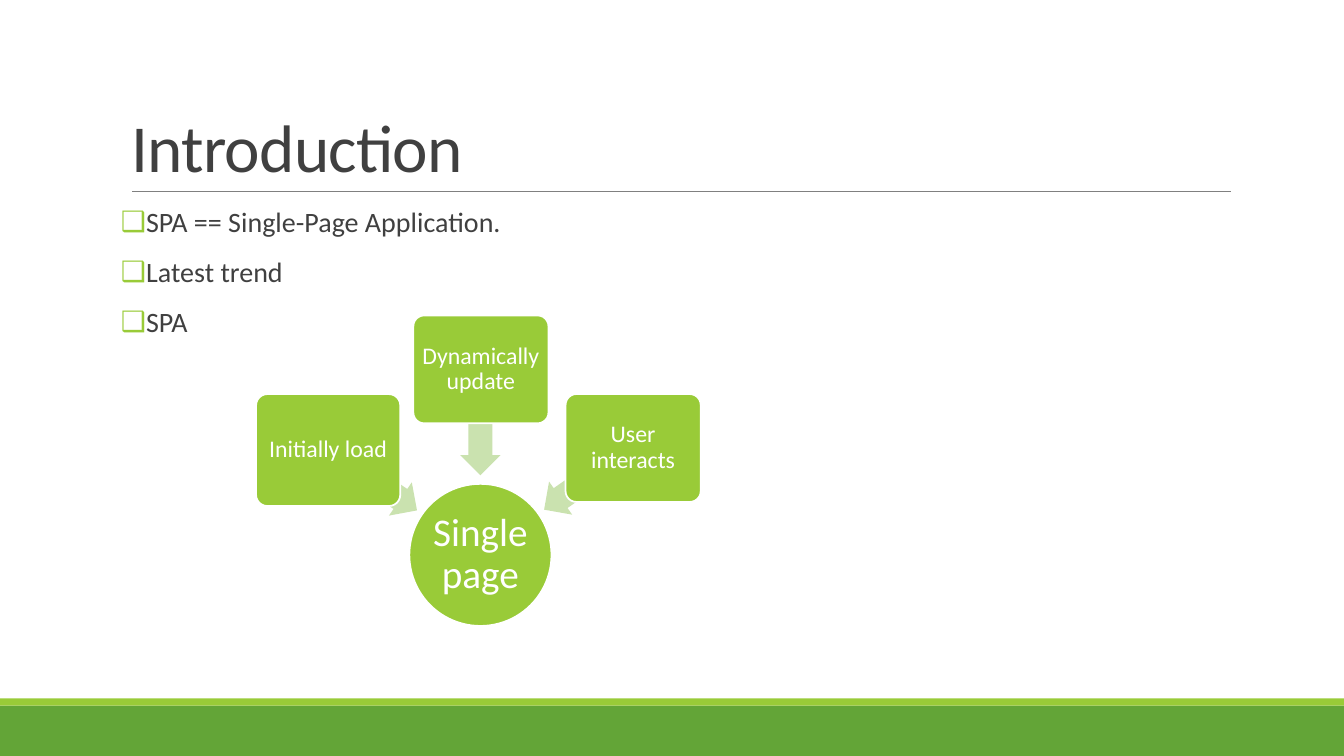
import dataclasses

import lxml.etree
import pptx
import pptx.dml.color
import pptx.enum.shapes
import pptx.enum.text
import pptx.oxml.ns
import pptx.util

Inches = pptx.util.Inches
Pt = pptx.util.Pt
Shape = pptx.enum.shapes.MSO_SHAPE
Align = pptx.enum.text.PP_ALIGN
Anchor = pptx.enum.text.MSO_ANCHOR


@dataclasses.dataclass(frozen=True)
class Theme:
    font: str = "Calibri"
    lime: str = "99CB38"
    green: str = "63A537"
    pale: str = "CAE2AF"
    white: str = "FFFFFF"
    text: str = "404040"
    rule: str = "808080"
    title_size: int = 48
    body_size: int = 20
    center_size: int = 28
    step_size: int = 17


THEME = Theme()


def rgb(color):
    return pptx.dml.color.RGBColor.from_string(color)


def box(left, top, width, height):
    return [Inches(value) for value in (left, top, width, height)]


def apply_format(target, values):
    for name, value in values.items():
        setattr(target, name, value)


def add_child(parent, tag, **attributes):
    child = lxml.etree.SubElement(parent, pptx.oxml.ns.qn(tag))
    for name, value in attributes.items():
        child.set(name, value)
    return child


def format_frame(frame, anchor, horizontal, vertical):
    apply_format(frame, {
        "word_wrap": True,
        "auto_size": pptx.enum.text.MSO_AUTO_SIZE.NONE,
        "vertical_anchor": anchor,
        "margin_left": Inches(horizontal),
        "margin_right": Inches(horizontal),
        "margin_top": Inches(vertical),
        "margin_bottom": Inches(vertical),
    })


def write_text(paragraph, text, size, color, paragraph_format):
    run = paragraph.add_run()
    run.text = text
    apply_format(run.font, {"name": THEME.font, "size": Pt(size)})
    run.font.color.rgb = rgb(color)
    apply_format(paragraph, paragraph_format)
    return run


def add_shape(slide, kind, position, fill, outline=None, rotation=0, adjustments=()):
    shape = slide.shapes.add_shape(kind, *box(*position))
    shape.shadow.inherit = False
    shape.rotation = rotation
    shape.fill.solid()
    shape.fill.fore_color.rgb = rgb(fill)
    if outline:
        shape.line.color.rgb = rgb(outline)
        shape.line.width = Pt(1.25)
    else:
        shape.line.fill.background()
    for index, value in enumerate(adjustments):
        shape.adjustments[index] = value
    return shape


def add_node(slide, kind, position, text, size, margin, adjustments=()):
    node = add_shape(slide, kind, position, THEME.lime, THEME.white, adjustments=adjustments)
    format_frame(node.text_frame, Anchor.MIDDLE, margin, margin)
    write_text(node.text_frame.paragraphs[0], text, size, THEME.white,
               {"alignment": Align.CENTER, "line_spacing": 0.9})


def add_rule(slide, left, right, top):
    rule = slide.shapes.add_connector(
        pptx.enum.shapes.MSO_CONNECTOR.STRAIGHT,
        Inches(left), Inches(top), Inches(right), Inches(top))
    rule.line.color.rgb = rgb(THEME.rule)
    rule.line.width = Pt(0.5)
    add_child(rule._element.spPr, "a:effectLst")


def set_title(slide, text):
    title = slide.shapes.title
    apply_format(title, dict(zip(("left", "top", "width", "height"),
                                 box(1.2, 0.31, 11, 1.59))))
    format_frame(title.text_frame, Anchor.BOTTOM, 0.1, 0.05)
    run = write_text(title.text_frame.paragraphs[0], text, THEME.title_size, THEME.text,
                     {"alignment": Align.LEFT, "line_spacing": 0.85})
    run.font._element.set("spc", "-50")


def add_bullets(slide, position, lines):
    frame = slide.shapes.add_textbox(*box(*position)).text_frame
    format_frame(frame, Anchor.TOP, 0, 0.05)
    for index, line in enumerate(lines):
        paragraph = frame.add_paragraph() if index else frame.paragraphs[0]
        write_text(paragraph, line, THEME.body_size, THEME.text,
                   {"line_spacing": 0.9, "space_before": Pt(12), "space_after": Pt(2)})
        properties = paragraph._p.get_or_add_pPr()
        properties.set("marL", str(Inches(0.1)))
        properties.set("indent", str(Inches(-0.1)))
        add_child(add_child(properties, "a:buClr"), "a:srgbClr", val=THEME.lime)
        add_child(properties, "a:buFont", typeface=THEME.font)
        add_child(properties, "a:buChar", char="❑")


def add_diagram(slide):
    add_node(slide, Shape.OVAL, (4.06, 4.8, 1.41, 1.41), "Single page",
             THEME.center_size, 0.02)
    steps = [
        ("Initially load", (2.54, 3.91, 1.43, 1.11), (3.16, 4.56), 214.5),
        ("Dynamically update", (4.1, 3.13, 1.34, 1.07), (4.23, 3.98), 270),
        ("User interacts", (5.61, 3.91, 1.34, 1.07), (5.3, 4.55), 325),
    ]
    for text, position, arrow_corner, rotation in steps:
        add_shape(slide, Shape.LEFT_ARROW, (*arrow_corner, 1.07, 0.4), THEME.pale,
                  rotation=rotation, adjustments=(0.6, 0.5))
        add_node(slide, Shape.ROUNDED_RECTANGLE, position, text,
                 THEME.step_size, 0.04, (0.1,))


def main():
    presentation = pptx.Presentation()
    presentation.slide_width = Inches(13.33)
    presentation.slide_height = Inches(7.5)
    slide = presentation.slides.add_slide(presentation.slide_layouts[5])
    add_shape(slide, Shape.RECTANGLE, (0, 7, 13.33, 0.5), THEME.green)
    add_shape(slide, Shape.RECTANGLE, (0, 6.93, 13.33, 0.07), THEME.lime)
    add_rule(slide, 1.31, 12.21, 1.9)
    set_title(slide, "Introduction")
    add_bullets(slide, (1.2, 2.02, 11, 4.4),
                ["SPA == Single-Page Application.", "Latest trend", "SPA"])
    add_diagram(slide)
    presentation.save("out.pptx")


if __name__ == "__main__":
    main()
